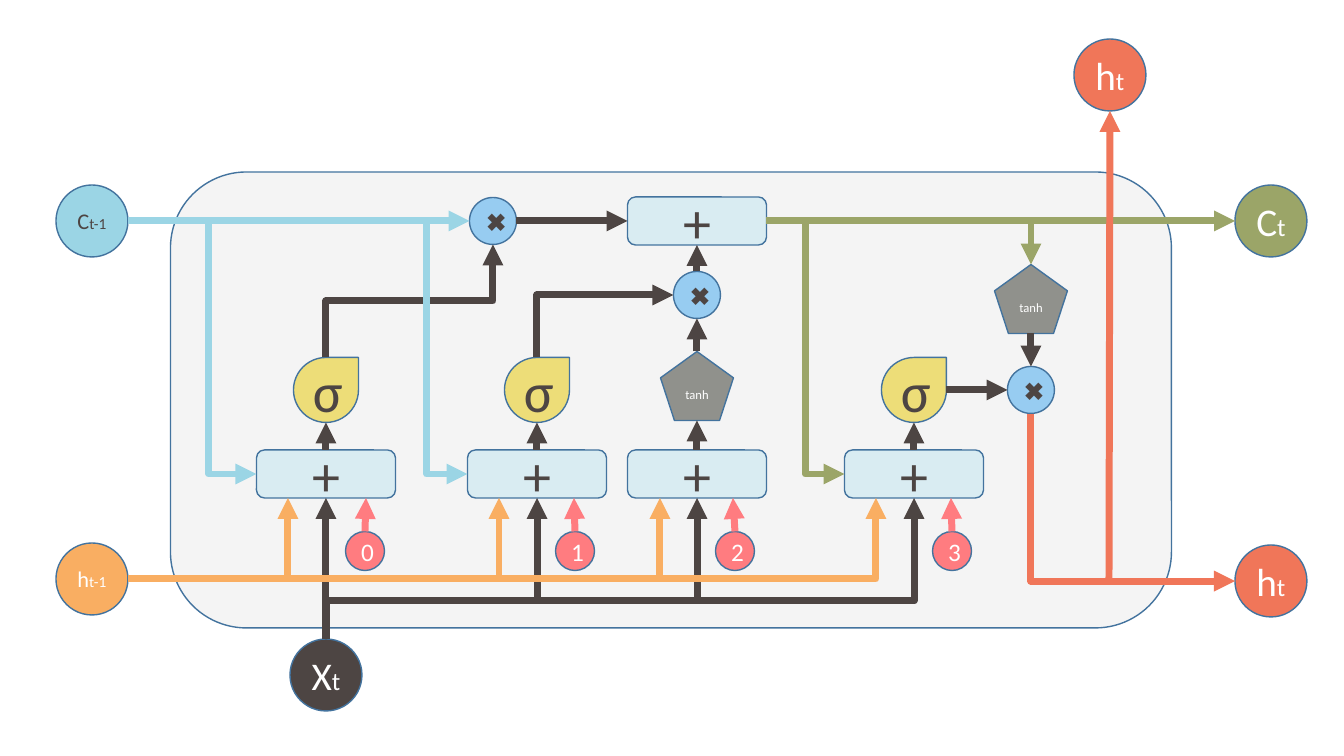
import pptx
import pptx.dml.color
import pptx.enum.shapes
import pptx.enum.text
import pptx.oxml.ns
import pptx.util
from lxml import etree

MSO = pptx.enum.shapes.MSO_SHAPE
MSC = pptx.enum.shapes.MSO_CONNECTOR
qn = pptx.oxml.ns.qn
EMU_PER_PX = 914400 / 100.8

DARK, WHITE, OUTLINE = "4D4543", "FFFFFF", "43739E"
SKY, ORANGE, OLIVE, CORAL, PINK = "9BD5E5", "F9AE62", "9BA568", "F07659", "FF7C80"

# kind: preset shape, width, height, fill, text colour, text size
KINDS = {
    "cell": (MSO.ROUNDED_RECTANGLE, 1001, 456, "F4F4F4", DARK, 18),
    "sum": (MSO.ROUNDED_RECTANGLE, 139, 48, "D9ECF2", DARK, 40),
    "bias": (MSO.OVAL, 39, 39, PINK, WHITE, 18),
    "product": (MSO.OVAL, 47, 47, "97CCF1", DARK, 18),
    "sigma": (MSO.TEAR, 65, 65, "EDDD78", DARK, 40),
    "tanh": (MSO.REGULAR_PENTAGON, 73, 69, "90918C", WHITE, 9),
    "input": (MSO.OVAL, 72, 72, DARK, WHITE, 28),
    "old state": (MSO.OVAL, 72, 72, SKY, DARK, 16),
    "old output": (MSO.OVAL, 72, 72, ORANGE, WHITE, 16),
    "state": (MSO.OVAL, 72, 72, OLIVE, WHITE, 28),
    "output": (MSO.OVAL, 72, 72, CORAL, WHITE, 28),
}
SUBSCRIPT_SIZE = {28: 18, 16: 11}

# name: kind, centre x, centre y, text, subscript
NODES = {
    "cell": ("cell", 671, 400, "", ""),
    "X": ("input", 326, 675, "X", "t"),
    "h old": ("old output", 92, 579, "h", "t-1"),
    "C old": ("old state", 92, 221, "C", "t-1"),
    "C": ("state", 1271, 221, "C", "t"),
    "h": ("output", 1271, 581, "h", "t"),
    "h up": ("output", 1110, 75, "h", "t"),
    "forget": ("product", 493, 221, "✖", ""),
    "write": ("product", 697, 295, "✖", ""),
    "expose": ("product", 1031, 390, "✖", ""),
    "new state": ("sum", 697, 221, "+", ""),
    "tanh in": ("tanh", 697, 386, "tanh", ""),
    "tanh out": ("tanh", 1031, 299, "tanh", ""),
}

# gate columns: centre x, bias x, bias arrow x, recurrent arrow x, has a sigma
GATES = [
    (326, 365, 366, 288, True),
    (537, 575, 574, 499, True),
    (697, 735, 733, 660, False),
    (914, 952, 951, 876, True),
]
GATE_TOP, GATE_BOTTOM = 450, 498

# start, side, end, side, colour, bend
# bend: None is straight, 0 one corner, else the share of the way to the turn
LINKS = [
    ("C old", "r", "forget", "l", SKY, None),
    ("C old", "r", "sum 0", "l", SKY, 0.63),
    ("C old", "r", "sum 1", "l", SKY, 0.88),
    ("forget", "r", "new state", "l", DARK, None),
    ("sigma 0", "t", "forget", "b", DARK, 0.5),
    ("sigma 1", "t", "write", "l", DARK, 0),
    ("sum 2", "t", "tanh in", "b", DARK, None),
    ("tanh in", "t", "write", "b", DARK, None),
    ("write", "t", "new state", "b", DARK, None),
    ("new state", "r", "C", "l", OLIVE, None),
    ("new state", "r", "tanh out", "t", OLIVE, 0),
    ("new state", "r", "sum 3", "l", OLIVE, 0.5),
    ("tanh out", "b", "expose", "t", DARK, None),
    ("sigma 3", "r", "expose", "l", DARK, None),
    ("expose", "b", "h", "l", CORAL, 0),
    ((1109, 579), "t", "h up", "b", CORAL, None),
]
for i, (x, bias_x, bias_tip, recurrent_x, has_sigma) in enumerate(GATES):
    NODES[f"sum {i}"] = ("sum", x, (GATE_TOP + GATE_BOTTOM) / 2, "+", "")
    NODES[f"bias {i}"] = ("bias", bias_x, 551, str(i), "")
    LINKS += [
        ("X", "t", f"sum {i}", "b", DARK, 0.27 if i else None),
        (f"bias {i}", "t", (bias_tip, GATE_BOTTOM), "b", PINK, None),
        ("h old", "r", (recurrent_x, GATE_BOTTOM), "b", ORANGE, 1),
    ]
    if has_sigma:
        NODES[f"sigma {i}"] = ("sigma", x, 390, "σ", "")
        LINKS.append((f"sum {i}", "t", f"sigma {i}", "b", DARK, None))

# connection site numbers of each preset
SITES = {
    MSO.OVAL: {"t": 0, "l": 2, "b": 4, "r": 6},
    MSO.ROUNDED_RECTANGLE: {"t": 0, "l": 1, "b": 2, "r": 3},
    MSO.TEAR: {"r": 0, "b": 2, "l": 4, "t": 6},
    MSO.REGULAR_PENTAGON: {"t": 0, "b": 3},
}
SIDES = {"t": (0, -0.5), "b": (0, 0.5), "l": (-0.5, 0), "r": (0.5, 0)}


def px(n):
    """Turn pixels into EMU."""
    return pptx.util.Emu(round(n * EMU_PER_PX))


def rgb(value):
    """Turn a hex string into a colour."""
    return pptx.dml.color.RGBColor.from_string(value)


def add_text(p, text, size, color, font="Calibri"):
    """Add a formatted run to a paragraph."""
    r = p.add_run()
    r.text = text
    r.font.size, r.font.name = pptx.util.Pt(size), font
    r.font.color.rgb = rgb(color)


def add_node(s, kind, cx, cy, text, subscript):
    """Draw one node around its centre, with its label."""
    preset, w, h, fill, color, size = KINDS[kind]
    sp = s.shapes.add_shape(preset, px(cx - w / 2), px(cy - h / 2), px(w), px(h))
    sp.shadow.inherit = False
    sp.fill.solid()
    sp.fill.fore_color.rgb = rgb(fill)
    sp.line.color.rgb = rgb(OUTLINE)
    sp.line.width = pptx.util.Pt(1)
    if text:
        tf = sp.text_frame
        tf.word_wrap = len(text + subscript) == 1
        p = tf.paragraphs[0]
        p.alignment = pptx.enum.text.PP_ALIGN.CENTER
        add_text(p, text, size, color)
        if subscript:
            add_text(p, subscript, SUBSCRIPT_SIZE[size], color)
    return sp


def locate(end, side):
    """Give the point where a link meets a node, or the free point itself."""
    if isinstance(end, tuple):
        return end
    kind, cx, cy = NODES[end][:3]
    w, h = KINDS[kind][1:3]
    dx, dy = SIDES[side]
    return cx + dx * w, cy + dy * h


def glue(c, tag, end, side, shapes):
    """Attach one end of a connector to its node."""
    if not isinstance(end, tuple):
        site = SITES[KINDS[NODES[end][0]][0]][side]
        etree.SubElement(c._element.nvCxnSpPr.cNvCxnSpPr, qn(tag),
                         id=str(shapes[end].shape_id), idx=str(site))


def bend_connector(c, x1, y1, x2, y2, vertical_first, bend):
    """Set the corners of an elbow; turn it when it leaves vertically."""
    spPr = c._element.spPr
    geom = spPr.find(qn("a:prstGeom"))
    geom.set("prst", "bentConnector3" if bend else "bentConnector2")
    if bend:
        etree.SubElement(geom.find(qn("a:avLst")), qn("a:gd"),
                         name="adj1", fmla=f"val {round(bend * 100000)}")
    if vertical_first:
        w, h = abs(y2 - y1), abs(x2 - x1)
        c.left, c.top = px((x1 + x2 - w) / 2), px((y1 + y2 - h) / 2)
        c.width, c.height = px(w), px(h)
        upward = y2 < y1
        xfrm = spPr.find(qn("a:xfrm"))
        xfrm.set("rot", str((90 if upward else 270) * 60000))
        xfrm.set("flipH", "1")
        xfrm.set("flipV", "1" if upward else "0")


def add_link(s, shapes, start, side1, end, side2, color, bend):
    """Draw one arrow between two nodes or points."""
    x1, y1 = locate(start, side1)
    x2, y2 = locate(end, side2)
    style = MSC.STRAIGHT if bend is None else MSC.ELBOW
    c = s.shapes.add_connector(style, px(x1), px(y1), px(x2), px(y2))
    c.line.color.rgb = rgb(color)
    c.line.width = pptx.util.Pt(5)
    etree.SubElement(c.line._get_or_add_ln(), qn("a:tailEnd"), type="triangle")
    etree.SubElement(c._element.spPr, qn("a:effectLst"))
    if bend is not None:
        bend_connector(c, x1, y1, x2, y2, side1 in "tb", bend)
    glue(c, "a:stCxn", start, side1, shapes)
    glue(c, "a:endCxn", end, side2, shapes)


prs = pptx.Presentation()
prs.slide_width, prs.slide_height = px(1344), px(756)
s = prs.slides.add_slide(prs.slide_layouts[6])
shapes = {name: add_node(s, *node) for name, node in NODES.items()}
# dark lines lie under the coloured ones, coral on top
LAYERS = [DARK, PINK, ORANGE, SKY, OLIVE, CORAL]
for link in sorted(LINKS, key=lambda link: LAYERS.index(link[4])):
    add_link(s, shapes, *link)
prs.save("out.pptx")
